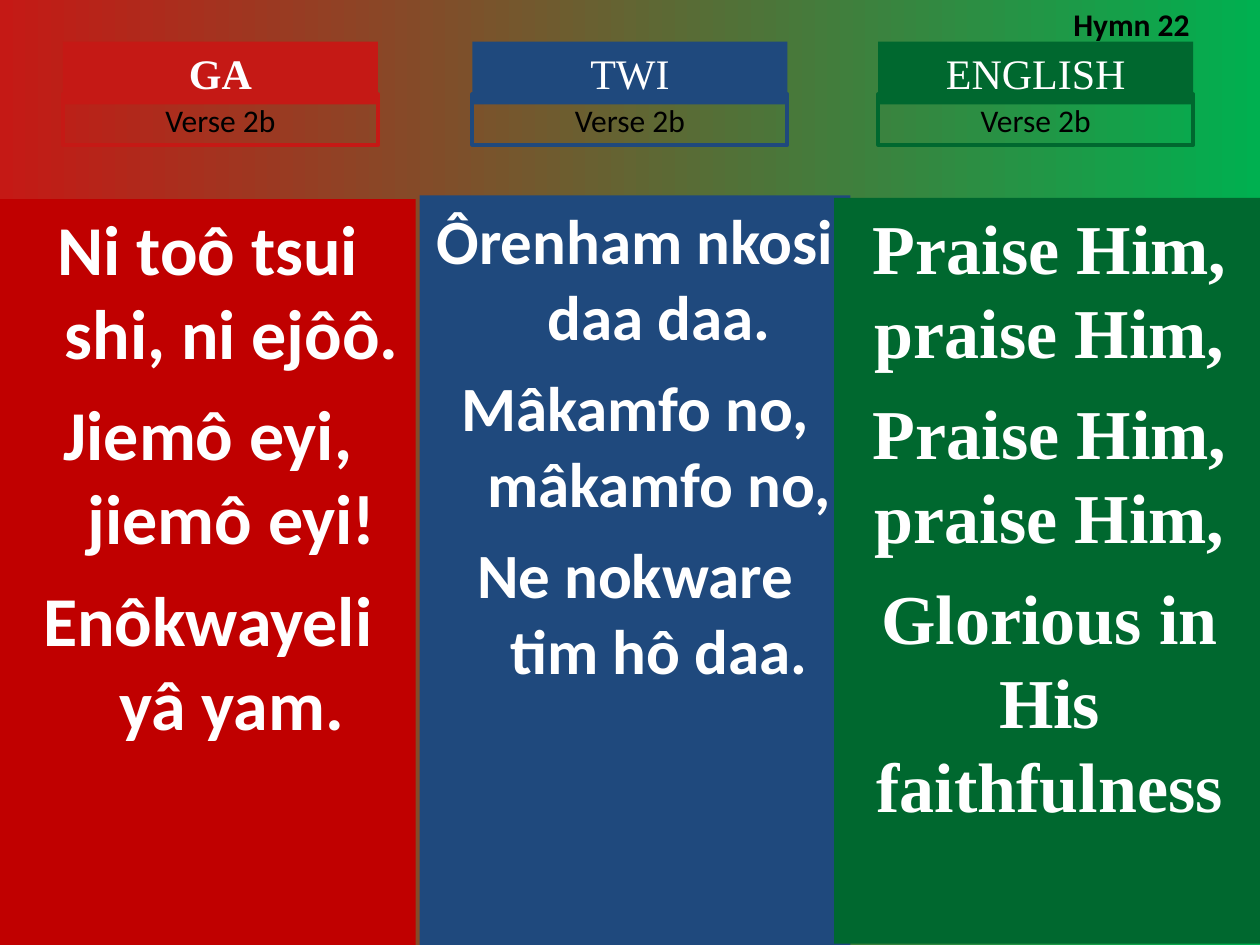
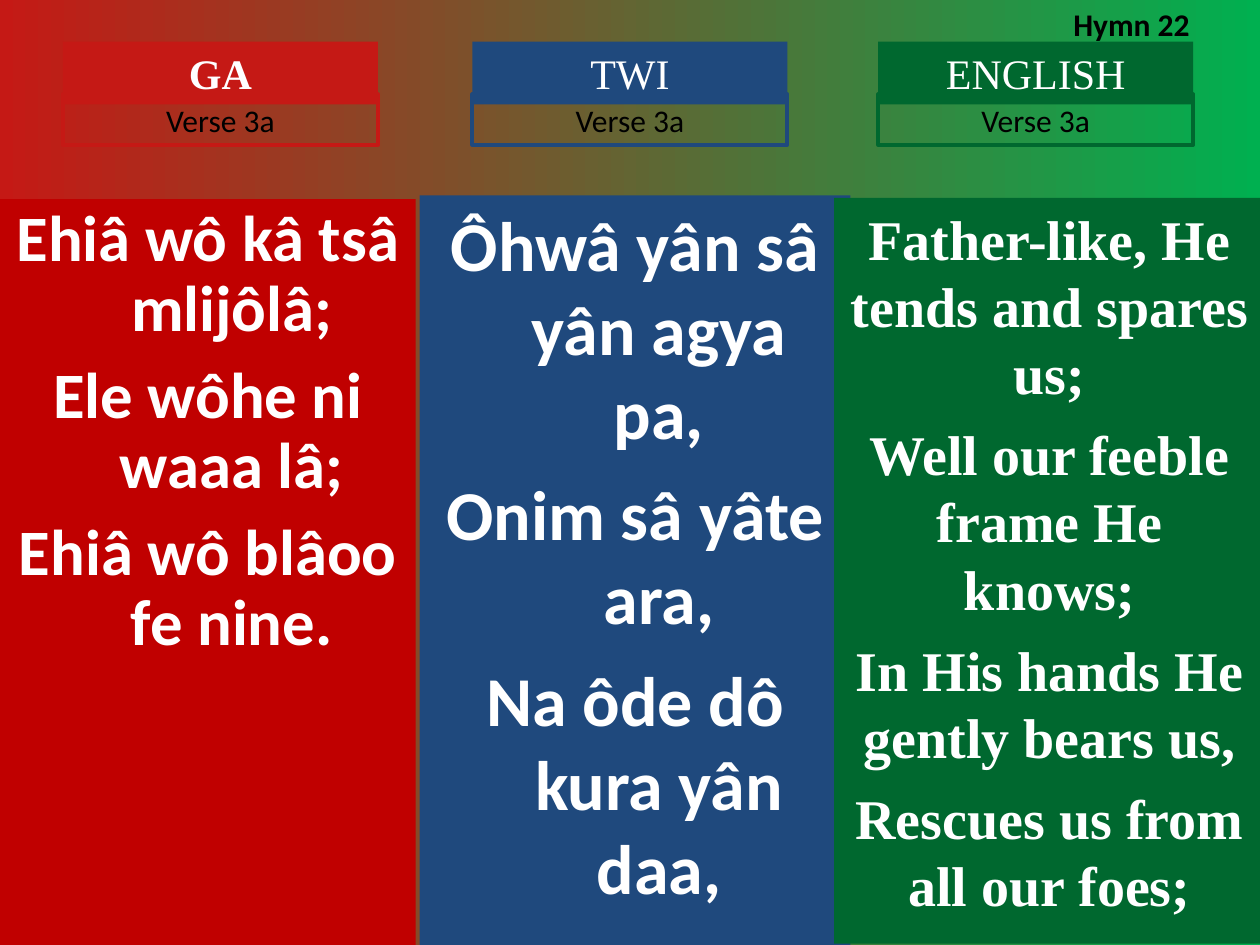
from pptx import Presentation
from pptx.dml.color import RGBColor
from pptx.enum.shapes import MSO_SHAPE
from pptx.enum.text import MSO_ANCHOR, PP_ALIGN
from pptx.util import Inches, Pt

RECT = MSO_SHAPE.RECTANGLE
TOP = MSO_ANCHOR.TOP
LEFT, CENTER = PP_ALIGN.LEFT, PP_ALIGN.CENTER

# Content: size, space before and line spacing go with each lyric
HYMN = "Hymn 22"
VERSES = [
    ("Verse 2b", {
        "GA": (["Ni toô tsui shi, ni ejôô.", "Jiemô eyi, jiemô eyi!",
                "Enôkwayeli yâ yam."], 40, 10, 1.0),
        "TWI": (["Ôrenham nkosi daa daa.", "Mâkamfo no, mâkamfo no,",
                 "Ne nokware tim hô daa."], 36, 9, 1.0),
        "ENGLISH": (["Praise Him, praise Him,", "Praise Him, praise Him,",
                     "Glorious in His faithfulness"], 40, 10, 1.0),
    }),
    ("Verse 3a", {
        "GA": (["Ehiâ wô kâ tsâ mlijôlâ;", "Ele wôhe ni waaa lâ;",
                "Ehiâ wô blâoo fe nine."], 37, 10, 0.9),
        "TWI": (["Ôhwâ yân sâ yân agya pa,", "Onim sâ yâte ara,",
                 "Na ôde dô kura yân daa,"], 40, 10, 1.0),
        "ENGLISH": (["Father-like, He tends and spares us;",
                     "Well our feeble frame He knows;",
                     "In His hands He gently bears us,",
                     "Rescues us from all our foes;"], 32, 8, 1.0),
    }),
]

# Shared style
COLORS = {"red": "C51915", "panel_red": "C00000", "blue": "1F497D",
          "green": "00682F", "bg_green": "00B050",
          "white": "FFFFFF", "black": "000000"}
SANS, SERIF = "Calibri", "Times New Roman"
HEAD_TOP, HEAD_W, HEAD_H = 0.33, 2.5, 0.5
VERSE_TOP, VERSE_H = 0.75, 0.4

# Language columns: header left and colour, panel box and colour, lyric font
COLUMNS = {
    "GA": dict(left=0.5, color="red", bold=True, panel=(0, 1.58, 3.3, 5.92),
               panel_color="panel_red", font=SANS, hang=0.38),
    "TWI": dict(left=3.75, color="blue", bold=False, panel=(3.33, 1.55, 3.42, 5.95),
                panel_color="blue", font=SANS, hang=0.38),
    "ENGLISH": dict(left=6.97, color="green", bold=False, panel=(6.62, 1.57, 3.42, 5.92),
                    panel_color="green", font=SERIF, hang=0),
}


def rgb(name):
    return RGBColor.from_string(COLORS[name])


def add_rect(slide, box, fill=None, line=None):
    sp = slide.shapes.add_shape(RECT, *map(Inches, box))
    sp.shadow.inherit = False
    if fill:
        sp.fill.solid()
        sp.fill.fore_color.rgb = rgb(fill)
    else:
        sp.fill.background()
    if line:
        sp.line.color.rgb = rgb(line)
        sp.line.width = Pt(2.25)
    else:
        sp.line.fill.background()
    return sp


def write(sp, lines, size, font, color, bold=False, align=CENTER,
          before=0, spacing=None, hang=0):
    tf = sp.text_frame
    tf.word_wrap = True
    tf.vertical_anchor = TOP
    tf.text = "\n".join(lines)
    for i, p in enumerate(tf.paragraphs):
        p.alignment = align
        if i and before:
            p.space_before = Pt(before)
        if spacing:
            p.line_spacing = spacing
        if hang:
            pPr = p._p.get_or_add_pPr()
            pPr.set("marL", str(Inches(hang)))
            pPr.set("indent", str(-Inches(hang)))
        for r in p.runs:
            r.font.size = Pt(size)
            r.font.name = font
            r.font.bold = bold
            r.font.color.rgb = rgb(color)


def paint_background(slide):
    fill = slide.background.fill
    fill.gradient()
    fill.gradient_angle = 0
    for stop, name in zip(fill.gradient_stops, ("red", "bg_green")):
        stop.color.rgb = rgb(name)


def add_column(slide, language, verse, lyric):
    col = COLUMNS[language]
    lines, size, before, spacing = lyric
    # Lyric panel
    panel = add_rect(slide, col["panel"], fill=col["panel_color"])
    write(panel, lines, size, col["font"], "white", bold=True,
          before=before, spacing=spacing, hang=col["hang"])
    # Language header with the verse label under it
    head = add_rect(slide, (col["left"], HEAD_TOP, HEAD_W, HEAD_H), fill=col["color"])
    write(head, [language], 24, SERIF, "white", bold=col["bold"])
    label = add_rect(slide, (col["left"], VERSE_TOP, HEAD_W, VERSE_H), line=col["color"])
    write(label, [verse], 18, SANS, "black")


def main():
    prs = Presentation()
    prs.slide_width, prs.slide_height = Inches(10), Inches(7.5)
    for verse, lyrics in VERSES:
        slide = prs.slides.add_slide(prs.slide_layouts[6])
        paint_background(slide)
        for language, lyric in lyrics.items():
            add_column(slide, language, verse, lyric)
        # Hymn number
        box = slide.shapes.add_textbox(*map(Inches, (8.42, -0.01, 1.5, 0.4)))
        write(box, [HYMN], 18, SANS, "black", bold=True, align=LEFT)
    prs.save("out.pptx")


if __name__ == "__main__":
    main()
